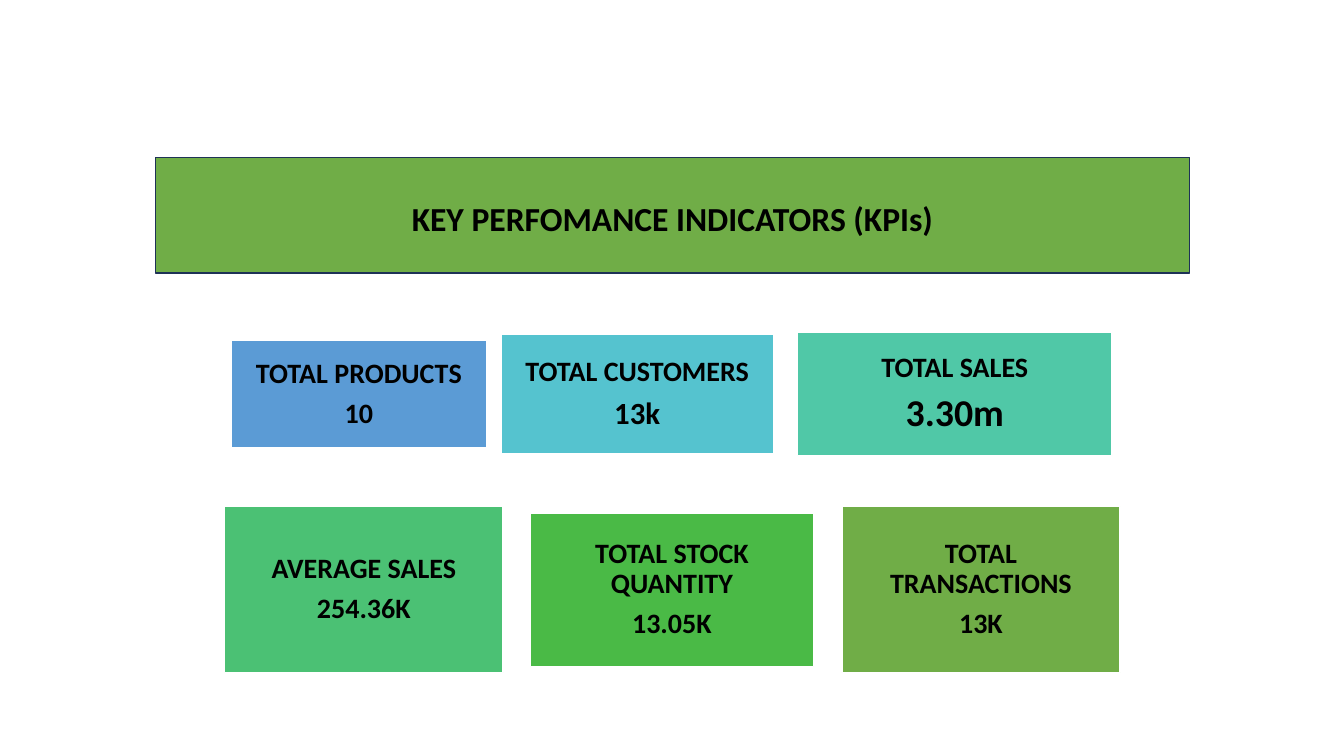
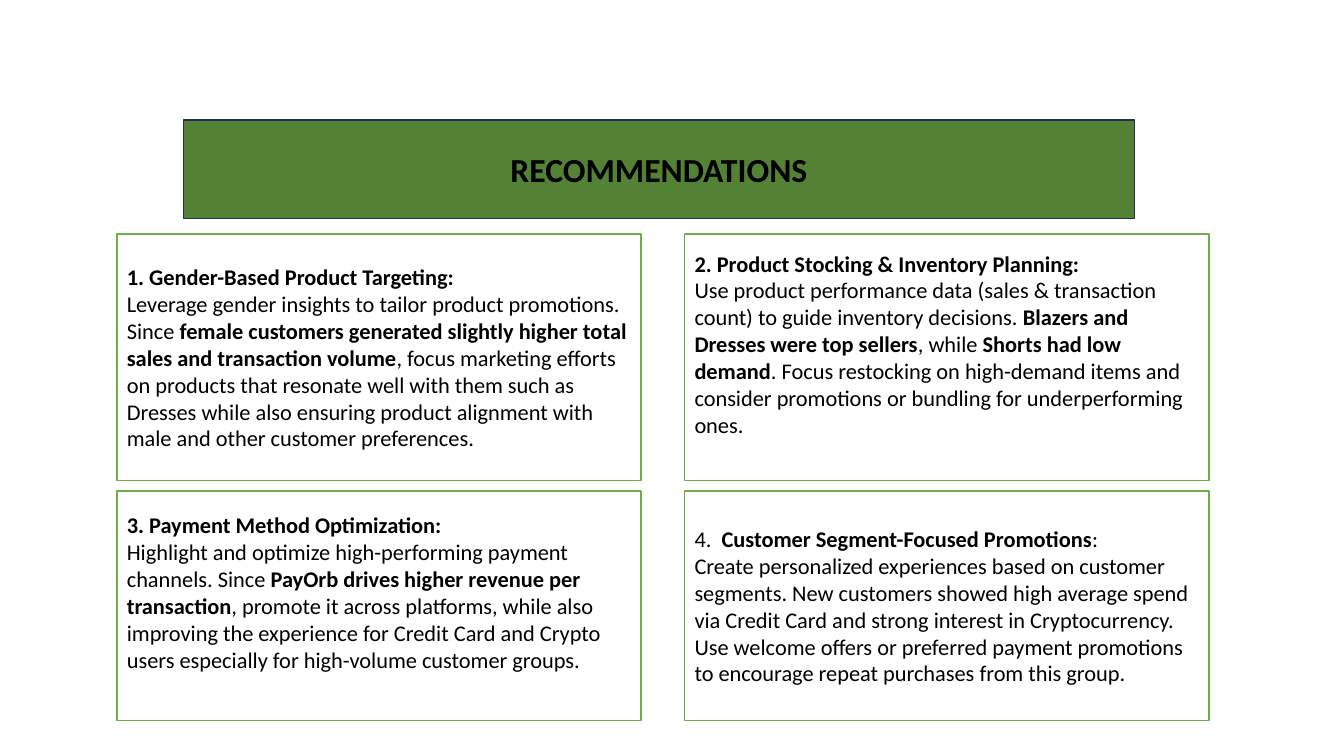
from pptx import Presentation, util as u
from pptx.dml.color import RGBColor
from pptx.enum import shapes, text

FONT = "Calibri"
BLACK = RGBColor(0x00, 0x00, 0x00)
WHITE = RGBColor(0xFF, 0xFF, 0xFF)
NAVY = RGBColor(0x1E, 0x32, 0x56)
GREEN = RGBColor(0x70, 0xAD, 0x47)
DARK_GREEN = RGBColor(0x54, 0x82, 0x35)
BLUE = RGBColor(0x5B, 0x9B, 0xD5)
CYAN = RGBColor(0x55, 0xC3, 0xCF)
TEAL = RGBColor(0x50, 0xC8, 0xA7)
MINT = RGBColor(0x4B, 0xC1, 0x74)
LEAF = RGBColor(0x4A, 0xBA, 0x46)

KPI_ROWS = [
    (3.91, [
        (2.29, 2.54, 1.07, BLUE, "TOTAL PRODUCTS", "10", 20),
        (4.97, 2.7, 1.19, CYAN, "TOTAL CUSTOMERS", "13k", 22),
        (7.91, 3.12, 1.22, TEAL, "TOTAL SALES", "3.30m", 27),
    ]),
    (5.85, [
        (2.23, 2.76, 1.65, MINT, "AVERAGE SALES", "254.36K", 20),
        (5.26, 2.81, 1.52, LEAF, "TOTAL STOCK QUANTITY", "13.05K", 20),
        (8.35, 2.76, 1.65, GREEN, "TOTAL TRANSACTIONS", "13K", 20),
    ]),
]

CARD_LEFT, CARD_WIDTH, CARD_PITCH = 1.16, 5.2, 5.63
CARD_ROWS = [(2.32, 2.45), (4.87, 2.28)]
CARD_INSET, CARD_LINE = 0.05, 0.27
ADVICE = [
    (0, [("1. Gender-Based Product Targeting:", True)],
     [("Leverage gender insights to tailor product promotions. Since ", False),
      ("female customers generated slightly higher total sales and transaction volume", True),
      (", focus marketing efforts on products that resonate well with them such as "
       "Dresses while also ensuring product alignment with male and other customer "
       "preferences.", False)]),
    (1, [("2. Product Stocking & Inventory Planning:", True)],
     [("Use product performance data (sales & transaction count) to guide inventory "
       "decisions. ", False),
      ("Blazers and Dresses were top sellers", True),
      (", while ", False),
      ("Shorts had low demand", True),
      (". Focus restocking on high-demand items and consider promotions or bundling "
       "for underperforming ones.", False)]),
    (1, [("3. Payment Method Optimization:", True)],
     [("Highlight and optimize high-performing payment channels. Since ", False),
      ("PayOrb drives higher revenue per transaction", True),
      (", promote it across platforms, while also improving the experience for Credit "
       "Card and Crypto users especially for high-volume customer groups.", False)]),
    (0, [("4.  ", False), ("Customer Segment-Focused Promotions", True), (":", False)],
     [("Create personalized experiences based on customer segments. New customers "
       "showed high average spend via Credit Card and strong interest in "
       "Cryptocurrency. Use welcome offers or preferred payment promotions to "
       "encourage repeat purchases from this group.", False)]),
]


def paint(box, fill, line):
    box.fill.solid()
    box.fill.fore_color.rgb = fill
    box.line.color.rgb = line
    box.line.width = u.Pt(1)


def write(paragraph, wording, size, bold):
    run = paragraph.add_run()
    run.text = wording
    run.font.name = FONT
    run.font.size = u.Pt(size)
    run.font.bold = bold
    run.font.color.rgb = BLACK


def add_panel(slide, left, top, width, height, fill, line):
    panel = slide.shapes.add_shape(
        shapes.MSO_SHAPE.RECTANGLE,
        *(u.Inches(length) for length in (left, top, width, height)))
    panel.shadow.inherit = False
    paint(panel, fill, line)
    panel.text_frame.word_wrap = True
    panel.text_frame.vertical_anchor = text.MSO_ANCHOR.MIDDLE
    return panel.text_frame


def add_titled_slide(deck, wording, place, fill, spacing=1.0):
    slide = deck.slides.add_slide(deck.slide_layouts[5])
    title = slide.shapes.title
    title.left, title.top, title.width, title.height = map(u.Inches, place)
    paint(title, fill, NAVY)
    frame = title.text_frame
    frame.auto_size = text.MSO_AUTO_SIZE.NONE
    frame.vertical_anchor = text.MSO_ANCHOR.MIDDLE
    heading = frame.paragraphs[0]
    heading.alignment = text.PP_ALIGN.CENTER
    heading.line_spacing = spacing
    write(heading, wording, 24, True)
    return slide


def add_kpi(slide, middle, left, width, height, fill, label, value, value_size):
    frame = add_panel(slide, left, middle - height / 2, width, height, fill, WHITE)
    frame.margin_left = frame.margin_right = u.Inches(0.12)
    frame.margin_top = frame.margin_bottom = u.Inches(0.08)
    rows = [(frame.paragraphs[0], label, 20), (frame.add_paragraph(), value, value_size)]
    for paragraph, wording, size in rows:
        paragraph.alignment = text.PP_ALIGN.CENTER
        paragraph.line_spacing = 0.9
        paragraph.space_after = u.Pt(7)
        write(paragraph, wording, size, True)


def add_advice(slide, index, lift, heading, body):
    row, column = divmod(index, 2)
    top, height = CARD_ROWS[row]
    frame = add_panel(slide, CARD_LEFT + column * CARD_PITCH, top,
                      CARD_WIDTH, height, WHITE, GREEN)
    frame.margin_bottom = u.Inches(CARD_INSET + lift * CARD_LINE)
    for paragraph, runs in [(frame.paragraphs[0], heading), (frame.add_paragraph(), body)]:
        paragraph.alignment = text.PP_ALIGN.LEFT
        for wording, bold in runs:
            write(paragraph, wording, 16, bold)


def main():
    deck = Presentation()
    deck.slide_width, deck.slide_height = u.Inches(13.33), u.Inches(7.5)

    indicators = add_titled_slide(deck, "KEY PERFOMANCE INDICATORS (KPIs)",
                                  (1.54, 1.56, 10.26, 1.15), GREEN, 1.15)
    for middle, kpis in KPI_ROWS:
        for kpi in kpis:
            add_kpi(indicators, middle, *kpi)

    recommendations = add_titled_slide(deck, "RECOMMENDATIONS",
                                       (1.82, 1.19, 9.43, 0.98), DARK_GREEN)
    for index, advice in enumerate(ADVICE):
        add_advice(recommendations, index, *advice)

    deck.save("out.pptx")


if __name__ == "__main__":
    main()
